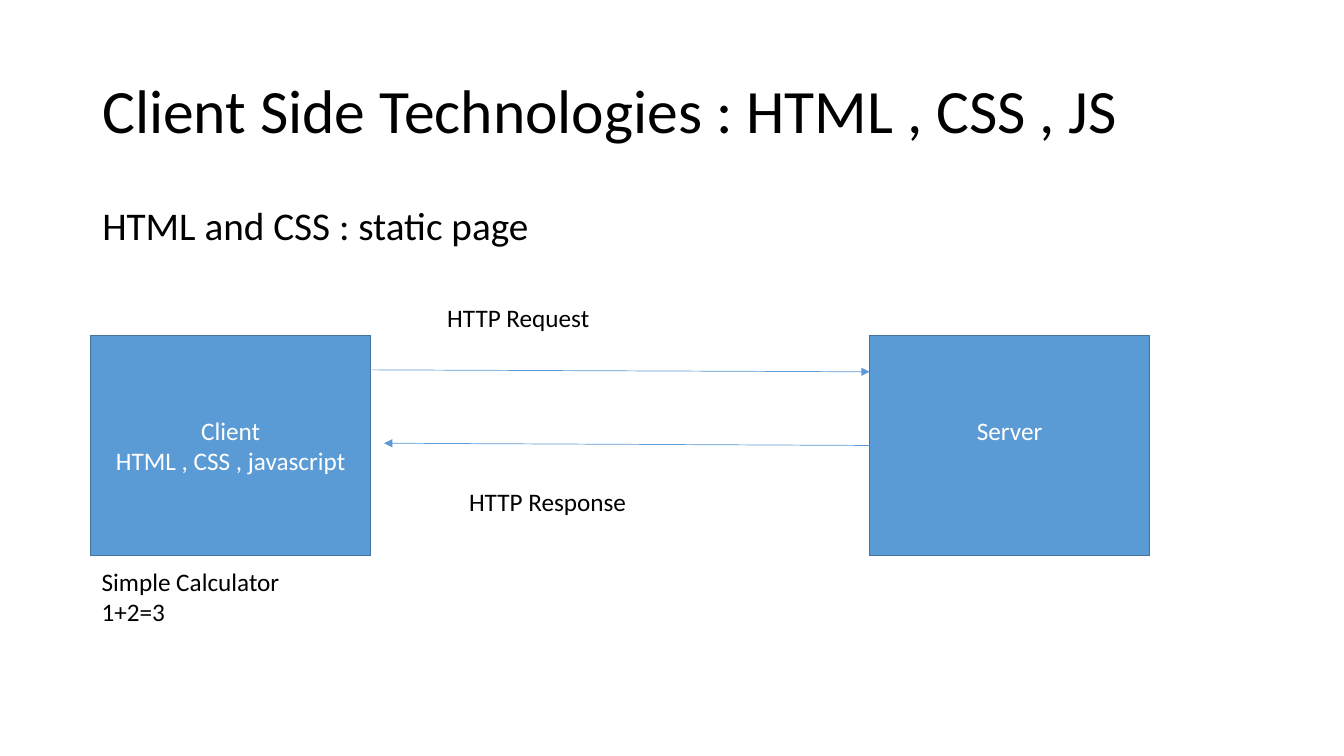
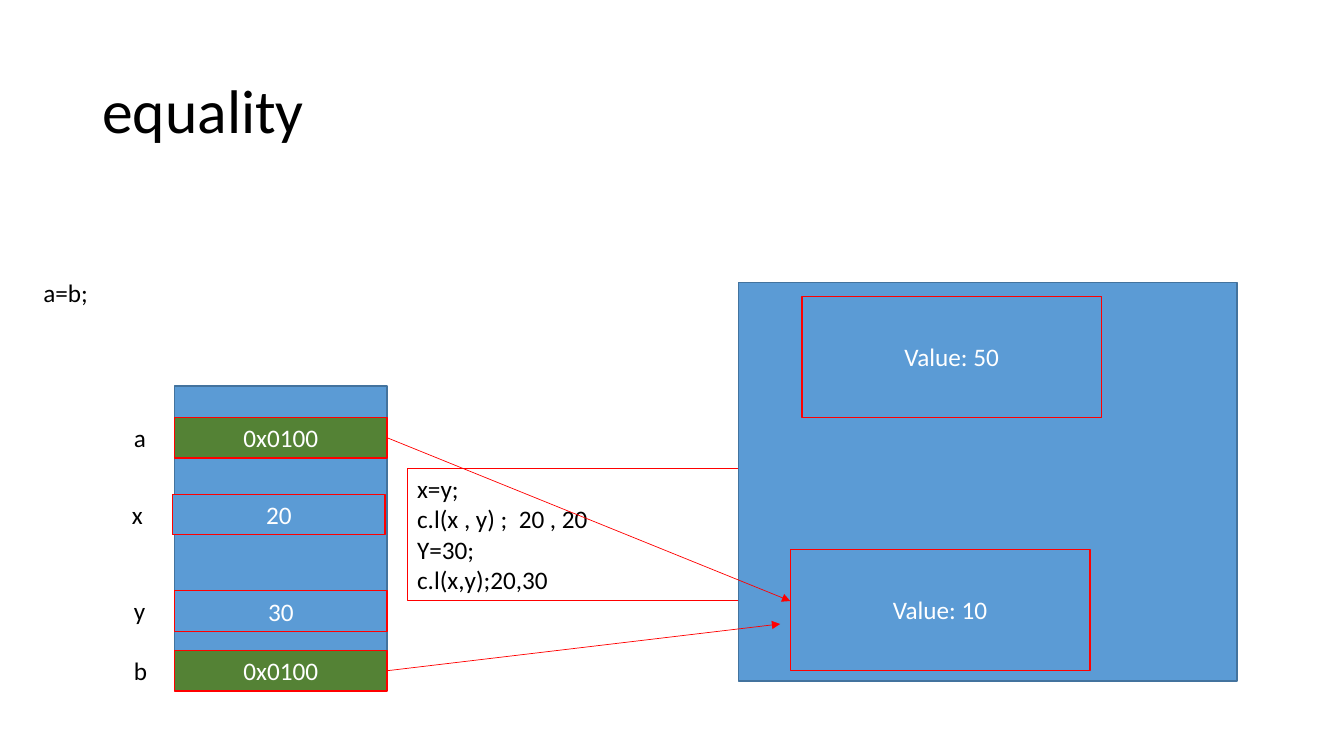
"""Build two slides on client-server exchange and equality by reference."""
from dataclasses import dataclass

from pptx import Presentation
from pptx import util as u
from pptx.dml.color import RGBColor
from pptx.enum import shapes, text
from pptx.oxml import ns, xmlchemy

Pt = u.Pt


@dataclass(frozen=True)
class Theme:
    font: str = "Calibri"
    title_size: int = 44
    lead_size: int = 28
    text_size: int = 18
    ink: str = "000000"
    white: str = "FFFFFF"
    blue: str = "5B9BD5"
    edge: str = "43739E"
    green: str = "548235"
    red: str = "FF0000"


class Deck:
    def __init__(self, theme):
        self.theme = theme
        self.deck = Presentation()
        self.deck.slide_width, self.deck.slide_height = Pt(960), Pt(540)
        self.page = None

    def add_page(self, title):
        self.page = self.deck.slides.add_slide(self.deck.slide_layouts[6])
        box = self.label(title, 66, 29, 828, 104, self.theme.title_size, 0.9)
        box.text_frame.vertical_anchor = text.MSO_ANCHOR.MIDDLE

    def set_text(self, box, words, size, color, align, spacing=None):
        frame = box.text_frame
        frame.word_wrap = True
        frame.text = words
        for para in frame.paragraphs:
            para.alignment = align
            para.line_spacing = spacing
            para.font.name = self.theme.font
            para.font.size = Pt(size)
            para.font.color.rgb = RGBColor.from_string(color)

    def label(self, words, left, top, width, height, size=None, spacing=None):
        box = self.page.shapes.add_textbox(Pt(left), Pt(top), Pt(width), Pt(height))
        self.set_text(box, words, size or self.theme.text_size, self.theme.ink,
                      text.PP_ALIGN.LEFT, spacing)
        return box

    def outline(self, box, color, width):
        box.line.color.rgb = RGBColor.from_string(color)
        box.line.width = Pt(width)

    def block(self, words, left, top, width, height, fill=None, edge=None):
        box = self.page.shapes.add_shape(
            shapes.MSO_SHAPE.RECTANGLE, Pt(left), Pt(top), Pt(width), Pt(height))
        box.shadow.inherit = False
        box.fill.solid()
        box.fill.fore_color.rgb = RGBColor.from_string(fill or self.theme.blue)
        self.outline(box, edge or self.theme.edge, 1)
        box.text_frame.vertical_anchor = text.MSO_ANCHOR.MIDDLE
        if words:
            self.set_text(box, words, self.theme.text_size, self.theme.white,
                          text.PP_ALIGN.CENTER)
        return box

    def arrow(self, start, end, color, source=None):
        line = self.page.shapes.add_connector(
            shapes.MSO_CONNECTOR.STRAIGHT, *(Pt(value) for value in start + end))
        if source is not None:
            line.begin_connect(source, 3)
        self.outline(line, color, 0.5)
        head = xmlchemy.OxmlElement("a:tailEnd")
        head.set("type", "triangle")
        line.get_or_add_ln().append(head)
        properties = line.element.find(ns.qn("p:spPr"))
        properties.append(xmlchemy.OxmlElement("a:effectLst"))


def build_client_page(deck):
    blue = deck.theme.blue
    deck.add_page("Client Side Technologies : HTML , CSS , JS")
    lead = deck.label("HTML and CSS : static page", 66, 144, 828, 42,
                      deck.theme.lead_size, 0.9)
    lead.text_frame.paragraphs[0].space_before = Pt(10)
    top, width, height, server_left = 239.6, 200, 157.4, 621.2
    deck.block("Client\nHTML , CSS , javascript", 64.8, top, width, height)
    server = deck.block("Server", server_left, top, width, height)
    server.text_frame.margin_bottom = Pt(25.6)
    deck.arrow((265.7, 264.2), (server_left, 265.6), blue)
    deck.label("HTTP Request", 312.4, 212.4, 230, 29)
    deck.label("HTTP Response", 328, 343.6, 230, 29)
    deck.arrow((server_left, 318.2), (274.4, 316.6), blue)
    deck.label("Simple Calculator\n1+2=3", 65.5, 401, 209, 51)


def build_equality_page(deck):
    theme = deck.theme
    deck.add_page("equality")
    left, width, row_height = 124.6, 152, 29
    deck.block("", left, 275.8, width, 213)
    cells = {}
    for name, value, top, shift, fill in (
        ("x", "20", 353, -1.4, theme.blue),
        ("y", "30", 421.9, 0, theme.blue),
        ("a", "0x0100", 298.2, 0, theme.green),
        ("b", "0x0100", 464.6, 0, theme.green),
    ):
        deck.label(name, left - 36 + shift, top, 28, row_height)
        cells[name] = deck.block(value, left + shift, top, width, row_height,
                                 fill, theme.red)
    code = deck.label("x=y;\nc.l(x , y) ;  20 , 20\nY=30;\nc.l(x,y);20,30",
                      290.8, 334.6, 281.5, 94.6)
    deck.outline(code, theme.red, 0.75)
    deck.block("", 527.3, 201.6, 356.4, 285)
    for name, start_y, end in (("a", 312.7, (564.5, 429.3)),
                               ("b", 479.1, (557.3, 445.7))):
        deck.arrow((left + width, start_y), end, theme.red, cells[name])
    for words, value_left, top in (("Value: 50", 572.8, 211.6),
                                   ("Value: 10", 564.5, 392.3)):
        deck.block(words, value_left, top, 214, 86.6, edge=theme.red)
    deck.label("a=b;", 23.8, 194.6, 267, 51)


def main():
    deck = Deck(Theme())
    build_client_page(deck)
    build_equality_page(deck)
    deck.deck.save("out.pptx")


if __name__ == "__main__":
    main()
